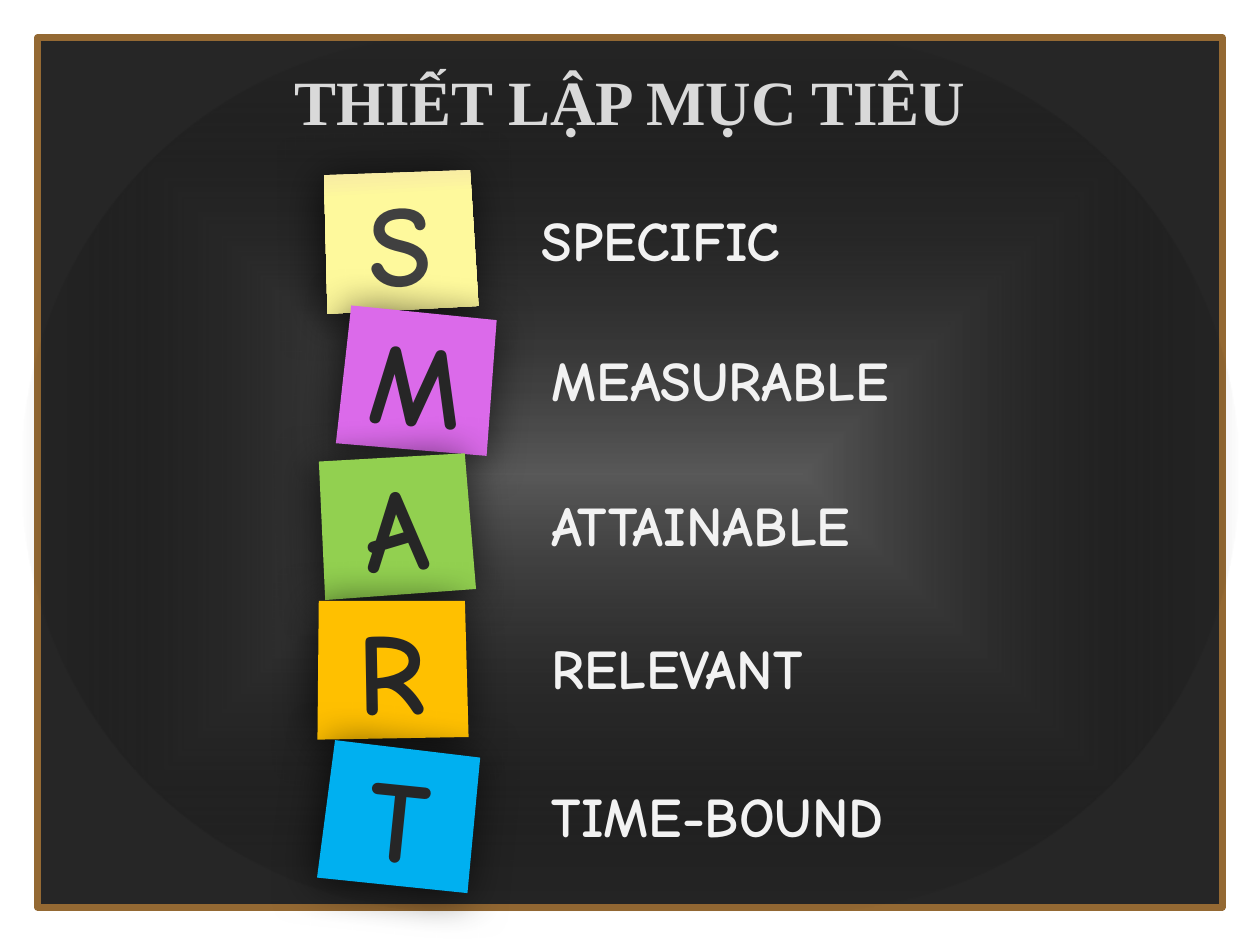
from lxml.etree import SubElement
from pptx import Presentation
from pptx.dml.color import RGBColor
from pptx.enum.shapes import MSO_SHAPE
from pptx.enum.text import MSO_ANCHOR, MSO_AUTO_SIZE, PP_ALIGN
from pptx.oxml.ns import qn
from pptx.util import Inches, Pt

COLS, ROWS = 100, 75  # grid laid over the slide
NOTE_W, NOTE_H = 12, 11
NOTE_OUTLINE = [(3, 0), (119, 2), (120, 110), (0, 110)]  # tenths of a cell
LABEL_DROP = 2.2  # rows from a note's top to its label's top
YELLOW = [(0, "F6E7A6", 100), (21, "FEF99C", 100), (100, "FEF99C", 100)]
GLOW = [(0, "595959", 100), (100, "000000", 0)]

# letter, fill, letter colour, note column, note row, tilt, word, label column, label width
GOALS = [
    ("S", YELLOW, "404040", 25.7, 13.6, -3, "SPECIFIC", 42, 23.6),
    ("M", "DB6AEA", "262626", 27.1, 24.7, 4.8, "MEASURABLE", 42.8, 32.8),
    ("A", "92D050", "262626", 25.4, 36.2, -4.2, "ATTAINABLE", 42.8, 32.8),
    ("R", "FFC000", "262626", 25.1, 47.6, -1, "RELEVANT", 42.8, 32.8),
    ("T", "00B0F0", "262626", 25.7, 59.3, 5.9, "TIME-BOUND", 42.8, 32.8),
]


def rgb(value):
    return RGBColor.from_string(value)


def add_color(parent, value, opacity):
    clr = SubElement(parent, qn("a:srgbClr"), val=value)
    if opacity < 100:
        SubElement(clr, qn("a:alpha"), val=str(opacity * 1000))


class Board:
    def __init__(self, prs):
        self.slide = prs.slides.add_slide(prs.slide_layouts[6])
        self.shapes = self.slide.shapes
        self.cell_w = prs.slide_width / COLS
        self.cell_h = prs.slide_height / ROWS
        self.font = "Comic Neue"

    def box(self, col, row, cols, rows):
        return (round(col * self.cell_w), round(row * self.cell_h),
                round(cols * self.cell_w), round(rows * self.cell_h))

    def paint(self, sp, fill, line=None, line_width=0):
        """Fill with a hex colour or a list of gradient stops, and clear the shadow."""
        if isinstance(fill, str):
            sp.fill.solid()
            sp.fill.fore_color.rgb = rgb(fill)
        else:
            self.gradient(sp, fill)
        if line:
            sp.line.color.rgb = rgb(line)
            sp.line.width = Pt(line_width)
        else:
            sp.line.fill.background()
        sp.shadow.inherit = False

    def gradient(self, sp, stops):
        """Run stops with transparency outward from the centre, opaque ones downward."""
        sp.fill.gradient()
        grad = sp._element.spPr.find(qn("a:gradFill"))
        for child in list(grad):
            grad.remove(child)
        gs_list = SubElement(grad, qn("a:gsLst"))
        for position, value, opacity in stops:
            gs = SubElement(gs_list, qn("a:gs"), pos=str(position * 1000))
            add_color(gs, value, opacity)
        if any(opacity < 100 for _, _, opacity in stops):
            center = SubElement(grad, qn("a:path"), {"path": "shape"})
            SubElement(center, qn("a:fillToRect"), l="50000", t="50000", r="50000", b="50000")
        else:
            SubElement(grad, qn("a:lin"), ang="5400000", scaled="0")

    def drop_shadow(self, sp):
        effects = sp._element.spPr.find(qn("a:effectLst"))
        shadow = SubElement(effects, qn("a:outerShdw"), blurRad=str(Pt(25)), dist=str(Pt(3)),
                            dir=str(135 * 60000), algn="ctr", rotWithShape="0")
        add_color(shadow, "000000", 70)

    def set_text(self, tf, text, size, color, font=None, align=PP_ALIGN.LEFT):
        tf.text = text
        p = tf.paragraphs[0]
        p.alignment = align
        r = p.runs[0]
        r.font.size = Pt(size)
        r.font.bold = True
        r.font.name = font or self.font
        r.font.color.rgb = rgb(color)

    def panel(self, kind, box, fill, line=None, line_width=0):
        sp = self.shapes.add_shape(kind, *self.box(*box))
        self.paint(sp, fill, line, line_width)
        return sp

    def text(self, box, text, size, color, anchor=MSO_ANCHOR.TOP, **style):
        tf = self.shapes.add_textbox(*self.box(*box)).text_frame
        tf.word_wrap = True
        tf.auto_size = MSO_AUTO_SIZE.SHAPE_TO_FIT_TEXT
        tf.vertical_anchor = anchor
        self.set_text(tf, text, size, color, **style)

    def note(self, col, row, tilt, letter, fill, color):
        left, top, _, _ = self.box(col, row, NOTE_W, NOTE_H)
        start, *rest = NOTE_OUTLINE
        builder = self.shapes.build_freeform(*start, scale=(self.cell_w / 10, self.cell_h / 10))
        builder.add_line_segments(rest, close=True)
        sp = builder.convert_to_shape(left, top)
        sp.rotation = tilt
        self.paint(sp, fill)
        self.drop_shadow(sp)
        tf = sp.text_frame
        tf.margin_left = tf.margin_right = tf.margin_top = tf.margin_bottom = Inches(0.05)
        tf.vertical_anchor = MSO_ANCHOR.MIDDLE
        self.set_text(tf, letter, 66, color, align=PP_ALIGN.CENTER)


def main():
    prs = Presentation()
    prs.slide_width, prs.slide_height = Inches(10), Inches(7.5)
    board = Board(prs)

    board.panel(MSO_SHAPE.RECTANGLE, (3, 3, 94, 69), "262626", "946933", 4)
    glow = board.panel(MSO_SHAPE.ROUNDED_RECTANGLE, (1.7, 2.8, 96.7, 69.5), GLOW)
    glow.adjustments[0] = 0.5
    board.text((5, 4.4, 90, 7.1), "THIẾT LẬP MỤC TIÊU", 36, "D9D9D9", MSO_ANCHOR.MIDDLE,
               font="Times New Roman", align=PP_ALIGN.CENTER)

    for letter, fill, color, col, row, tilt, word, label_col, label_w in GOALS:
        board.note(col, row, tilt, letter, fill, color)
        board.text((label_col, row + LABEL_DROP, label_w, 6.4), word, 32, "F2F2F2")

    prs.save("out.pptx")


if __name__ == "__main__":
    main()
